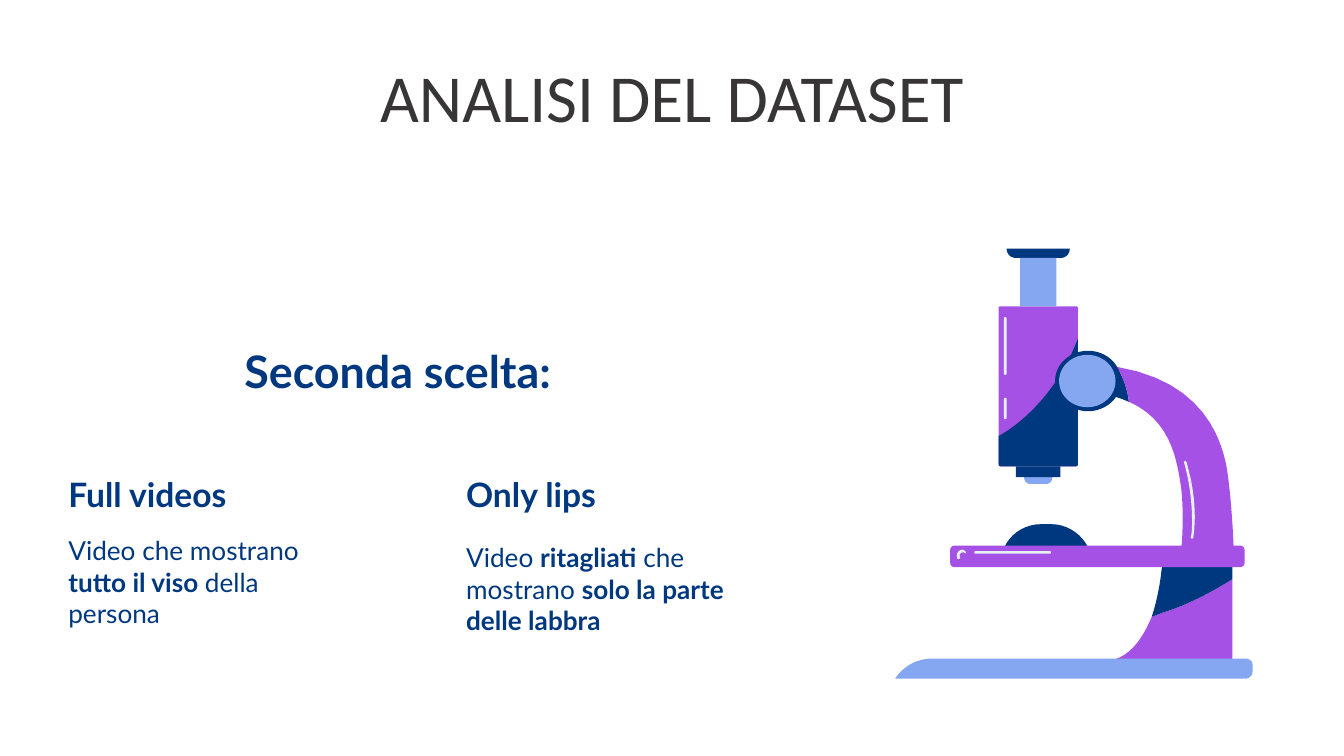
from dataclasses import dataclass

from pptx import Presentation
from pptx import util as u
from pptx.dml.color import RGBColor
from pptx.enum import shapes, text

PX = 9144  # EMU in one px, with 100 px to the inch
WIDE = 1000 * PX
HIGH = WIDE * 9 // 16
STEPS = 12  # straight pieces for one curve


@dataclass(frozen=True)
class Theme:
    ink: str = "383536"
    navy: str = "003880"
    violet: str = "A551E5"
    sky: str = "85A7F2"
    glint: str = "E6F0EF"
    head: str = "Calibri"
    body: str = "Lato"
    title: int = 36
    lead: int = 24
    label: int = 18
    note: int = 14


T = Theme()
RECT = shapes.MSO_SHAPE.RECTANGLE
ROUND = shapes.MSO_SHAPE.ROUNDED_RECTANGLE
OVAL = shapes.MSO_SHAPE.OVAL

# Outlines: a start point, then lines (x, y) and curves (two handles, end).
BASE = [
    (T.violet, [(917, 431), (901, 441, 884, 450, 865, 456), (857, 459),
                (850, 476, 839, 492, 821, 492), (917, 492)]),
    (T.navy, [(865, 416), (865, 416, 864, 438, 857, 459), (865, 456),
              (884, 450, 901, 441, 917, 431), (917, 416)]),
    (T.navy, [(775, 390), (758, 390, 745, 403, 745, 418), (812, 418),
              (812, 403, 798, 390, 782, 390)]),
]
ARM = [
    (T.navy, [(796, 270), (797, 291), (815, 291, 829, 294, 840, 299),
              (839, 290, 836, 281, 831, 273), (820, 271, 809, 270, 797, 270)]),
    (T.violet, [(831, 273), (836, 281, 839, 290, 840, 299),
                (870, 312, 875, 340, 878, 357), (882, 380, 879, 409, 879, 409),
                (918, 409), (918, 409, 917, 376, 913, 349),
                (909, 327, 896, 284, 831, 273)]),
]
TUBE = [
    (T.navy, [(802, 252), (791, 281, 771, 308, 744, 324),
              (743, 324, 743, 325, 743, 326), (743, 345),
              (743, 346, 744, 347, 745, 347), (800, 347),
              (801, 347, 802, 346, 802, 345)]),
    (T.sky, [(762, 355), (762, 358, 764, 360, 766, 360), (779, 360),
             (781, 360, 783, 358, 783, 355)]),
    (T.navy, [(749, 185), (749, 189, 752, 192, 756, 192), (789, 192),
              (793, 192, 796, 189, 796, 185)]),
]
FOOT = [
    (T.sky, [(694, 490), (682, 490, 672, 496, 666, 505), (927, 505),
             (929, 505, 932, 503, 932, 500), (932, 494),
             (932, 492, 929, 490, 927, 490)]),
    (T.glint, [(716, 409), (714, 409, 712, 411, 712, 413),
               (712, 415, 712, 416, 713, 416), (714, 416, 715, 415, 714, 414),
               (714, 412, 715, 411, 717, 411), (719, 413, 720, 410, 716, 409)]),
    (T.glint, [(882, 343), (881, 343, 881, 344, 881, 344),
               (885, 358, 887, 373, 887, 388), (887, 392, 887, 396, 886, 400),
               (886, 401, 888, 401, 888, 400), (890, 385, 889, 371, 886, 356),
               (885, 352, 884, 348, 883, 344)]),
]


def paint(shape, color):
    shape.shadow.inherit = False
    shape.fill.solid()
    shape.fill.fore_color.rgb = RGBColor.from_string(color)
    shape.line.fill.background()


def bend(start, seg):
    """Yield points along the cubic curve that seg describes."""
    ax, ay, bx, by, ex, ey = seg
    for i in range(1, STEPS + 1):
        t = i / STEPS
        s = 1 - t
        yield tuple(
            s**3 * p + 3 * s * s * t * q + 3 * s * t * t * r + t**3 * e
            for p, q, r, e in ((start[0], ax, bx, ex), (start[1], ay, by, ey))
        )


def trace(group, outlines):
    for color, (start, *segs) in outlines:
        pts = [start]
        for seg in segs:
            pts.extend([seg] if len(seg) == 2 else bend(pts[-1], seg))
        first, *rest = [(round(x * PX), round(y * PX)) for x, y in pts]
        pen = group.shapes.build_freeform(*first, scale=1.0)
        pen.add_line_segments(rest, close=True)
        paint(pen.convert_to_shape(), color)


def block(group, kind, box, color, radius=0):
    shape = group.shapes.add_shape(kind, *(v * PX for v in box))
    if kind == ROUND:
        shape.adjustments[0] = radius / min(box[2:])
    paint(shape, color)


def scope(slide):
    """Draw the microscope from back to front."""
    group = slide.shapes.add_group_shape()
    trace(group, BASE + ARM)
    block(group, ROUND, (743, 228, 59, 119), T.violet, 1)
    trace(group, TUBE)
    block(group, RECT, (756, 347, 33, 8), T.navy)
    block(group, OVAL, (785, 261, 49, 45), T.navy)
    block(group, OVAL, (788, 264, 42, 39), T.sky)
    block(group, RECT, (759, 192, 27, 36), T.sky)
    block(group, ROUND, (707, 406, 219, 16), T.violet, 3)
    trace(group, FOOT)
    for box in ((747, 296, 2, 16), (747, 236, 2, 43), (725, 410, 57, 2)):
        block(group, ROUND, box, T.glint, 1)


def write(slide, box, runs, size, color=T.navy, face=T.body, align=None):
    """Add a text box; runs are (words, bold) pairs."""
    frame = slide.shapes.add_textbox(*(v * PX for v in box)).text_frame
    frame.word_wrap = True
    frame.margin_left = frame.margin_right = 10 * PX
    frame.margin_top = frame.margin_bottom = 10 * PX
    para = frame.paragraphs[0]
    para.alignment = align
    for words, bold in runs:
        run = para.add_run()
        run.text = words
        font = run.font
        font.name, font.size, font.bold = face, u.Pt(size), bold
        font.color.rgb = RGBColor.from_string(color)


def main():
    deck = Presentation()
    deck.slide_width, deck.slide_height = WIDE, HIGH
    slide = deck.slides.add_slide(deck.slide_layouts[6])
    write(slide, (265, 31, 470, 69), [("ANALISI DEL DATASET", False)],
          T.title, T.ink, T.head, text.PP_ALIGN.CENTER)
    scope(slide)
    write(slide, (172, 246, 317, 46), [("Seconda scelta:", True)], T.lead)
    write(slide, (41, 343, 152, 46), [("Full videos", True)], T.label)
    write(slide, (337, 343, 171, 46), [("Only lips", True)], T.label)
    write(slide, (41, 388, 202, 87),
          [("Video che mostrano ", False), ("tutto il viso ", True),
           ("della persona", False)], T.note)
    write(slide, (337, 393, 220, 87),
          [("Video ", False), ("ritagliati", True), (" che mostrano ", False),
           ("solo la parte delle labbra", True)], T.note)
    deck.save("out.pptx")


if __name__ == "__main__":
    main()
